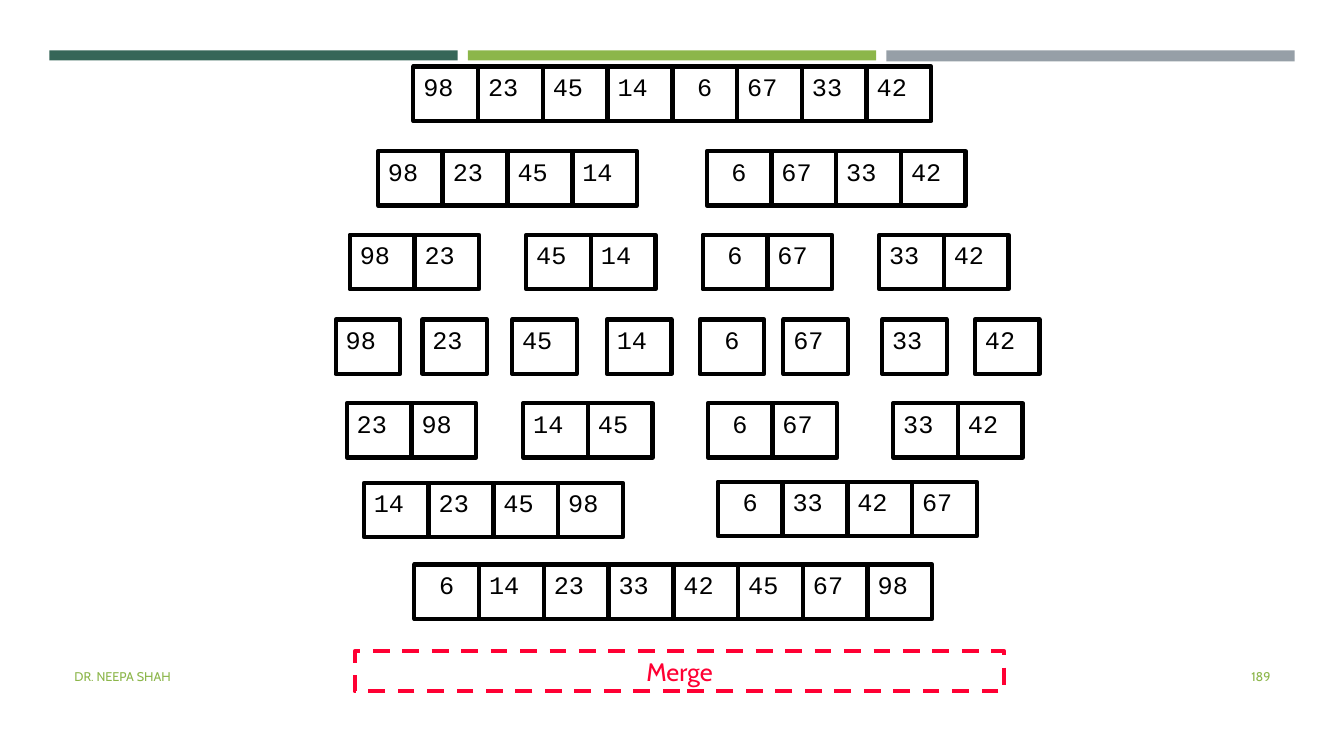
from dataclasses import dataclass
from pptx import Presentation
from pptx.dml.color import RGBColor
from pptx.enum.dml import MSO_LINE
from pptx.enum.shapes import MSO_SHAPE
from pptx.enum.text import MSO_ANCHOR, PP_ALIGN
from pptx.util import Inches, Pt

RECT = MSO_SHAPE.RECTANGLE
DASH = MSO_LINE.DASH
TOP, MIDDLE = MSO_ANCHOR.TOP, MSO_ANCHOR.MIDDLE
LEFT, CENTER, RIGHT = PP_ALIGN.LEFT, PP_ALIGN.CENTER, PP_ALIGN.RIGHT


@dataclass(frozen=True)
class Theme:
    green: str = "8CB64A"
    teal: str = "366658"
    gray: str = "969FA7"
    ink: str = "000000"
    red: str = "FF0033"
    sans: str = "Cabin"
    mono: str = "Courier New"
    body: int = 18
    small: int = 9
    line: int = 3


THEME = Theme()
BARS = [(THEME.teal, 0.1), (THEME.green, 0.1), (THEME.gray, 0.11)]
LISTS = [
    (0.66, [(4.1, [98, 23, 45, 14, 6, 67, 33, 42])]),
    (1.5, [(3.75, [98, 23, 45, 14]), (7.01, [6, 67, 33, 42])]),
    (2.33, [(3.47, [98, 23]), (5.22, [45, 14]),
            (6.97, [6, 67]), (8.72, [33, 42])]),
    (3.17, [(3.33, [98]), (4.19, [23]), (5.08, [45]), (6.02, [14]),
            (6.94, [6]), (7.77, [67]), (8.75, [33]), (9.67, [42])]),
    (4, [(3.44, [23, 98]), (5.19, [14, 45]),
         (7.02, [6, 67]), (8.86, [33, 42])]),
    (4.79, [(3.61, [14, 23, 45, 98])]),
    (4.78, [(7.12, [6, 33, 42, 67])]),
    (5.6, [(4.11, [6, 14, 23, 33, 42, 45, 67, 98])]),
]
LABEL = "Merge"
FOOTER = [
    ("189", 11.55, 1.15, RIGHT),
    ("DR. NEEPA SHAH", 0.64, 7.56, LEFT),
]
CELL_W, CELL_H = 0.64, 0.54
SPAN = 5.14
BAR_X, BAR_W, BAR_STEP = 0.49, 4.05, 4.15


def write(shape, text, font, size, color, align, anchor=TOP, wrap=True):
    frame = shape.text_frame
    frame.text = text
    frame.word_wrap = wrap
    frame.vertical_anchor = anchor
    para = frame.paragraphs[0]
    para.alignment = align
    para.font.name = font
    para.font.size = Pt(size)
    para.font.color.rgb = RGBColor.from_string(color)


def box(slide, x, y, w, h, fill=None, line=None):
    shape = slide.shapes.add_shape(RECT, Inches(x), Inches(y), Inches(w), Inches(h))
    shape.shadow.inherit = False
    if fill:
        shape.fill.solid()
        shape.fill.fore_color.rgb = RGBColor.from_string(fill)
    else:
        shape.fill.background()
    if line:
        shape.line.color.rgb = RGBColor.from_string(line)
        shape.line.width = Pt(THEME.line)
    else:
        shape.line.fill.background()
    return shape


def main():
    deck = Presentation()
    deck.slide_width, deck.slide_height = Inches(13.33), Inches(7.5)
    slide = deck.slides.add_slide(deck.slide_layouts[6])

    for i, (color, high) in enumerate(BARS):
        box(slide, BAR_X + i * BAR_STEP, 0.5, BAR_W, high, fill=color)

    step = SPAN / 8
    for y, groups in LISTS:
        for x, nums in groups:
            for i, num in enumerate(nums):
                cell = box(slide, x + i * step, y, CELL_W, CELL_H, line=THEME.ink)
                align = CENTER if num < 10 else LEFT
                write(cell, str(num), THEME.mono, THEME.body, THEME.ink,
                      align, wrap=False)

    label = box(slide, 3.52, 6.46, 6.44, 0.4, line=THEME.red)
    label.line.dash_style = DASH
    write(label, LABEL, THEME.sans, THEME.body, THEME.red, CENTER)

    for text, x, w, align in FOOTER:
        note = slide.shapes.add_textbox(Inches(x), Inches(6.51), Inches(w), Inches(0.4))
        write(note, text, THEME.sans, THEME.small, THEME.green, align, MIDDLE)

    deck.save("out.pptx")


if __name__ == "__main__":
    main()
